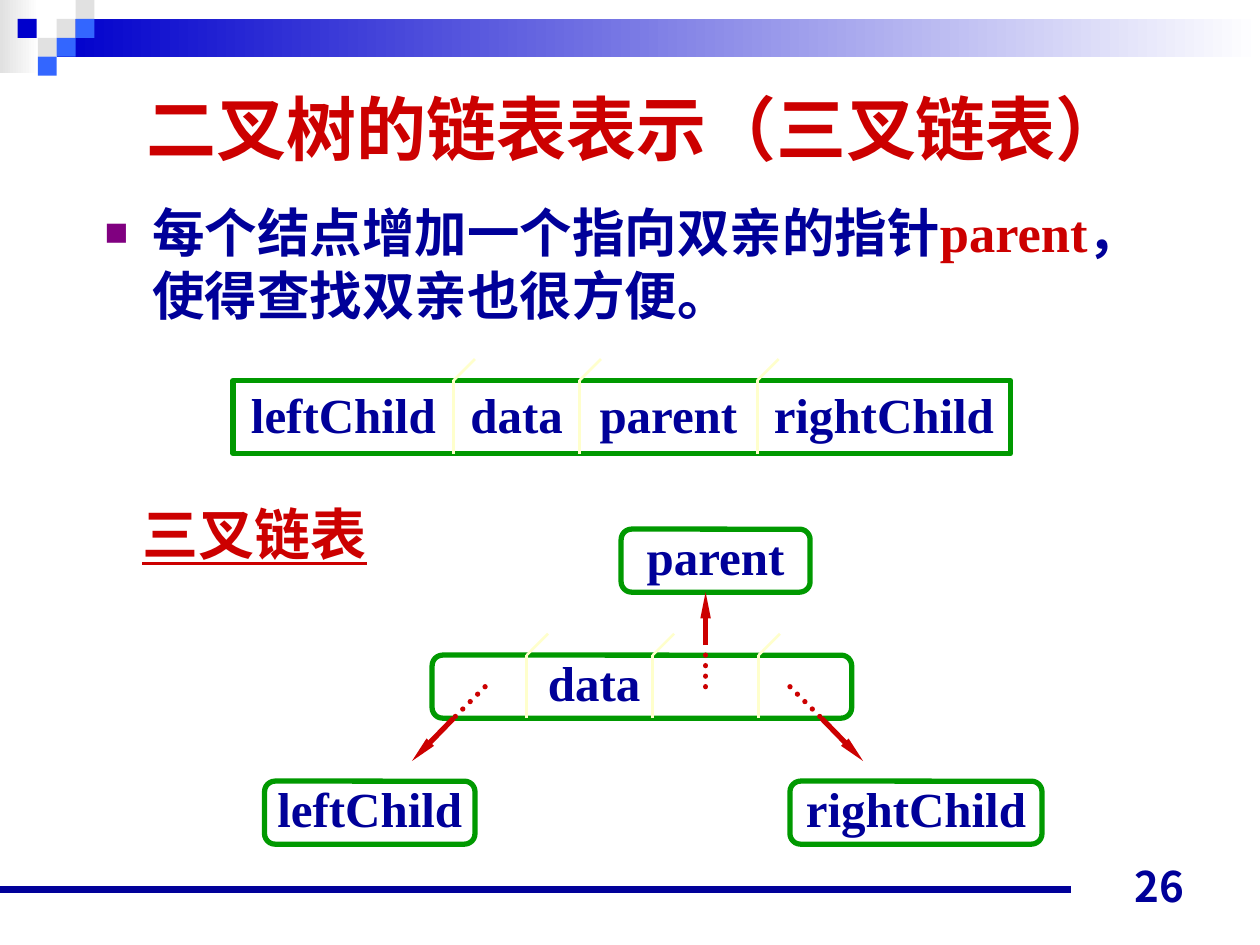
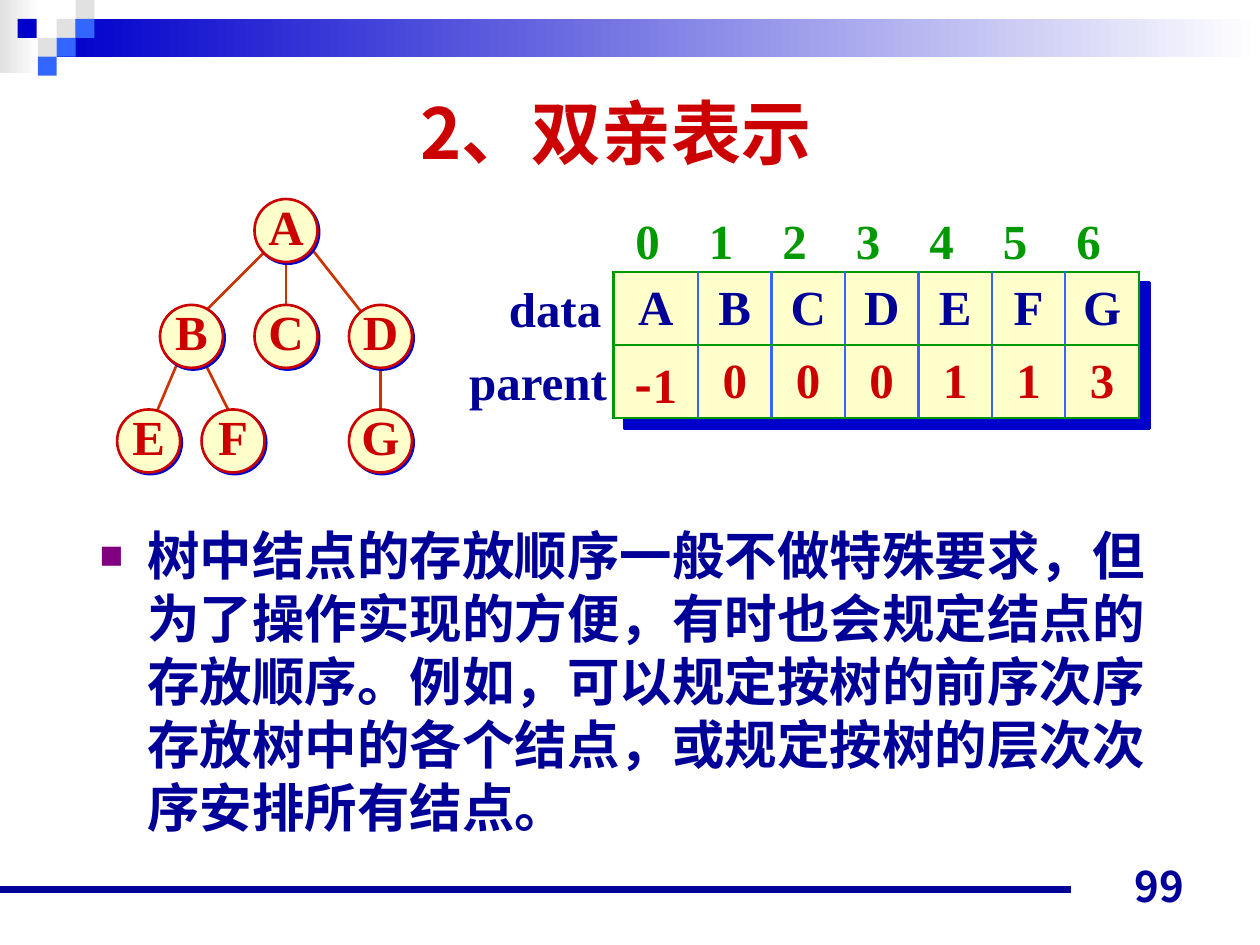
import pptx
import pptx.util
import pptx.dml.color
import pptx.enum.dml
import pptx.enum.shapes
import pptx.enum.text
import pptx.oxml
import pptx.oxml.ns
from lxml import etree

Inches, Pt = pptx.util.Inches, pptx.util.Pt
SHAPE = pptx.enum.shapes.MSO_SHAPE
ALIGN = pptx.enum.text.PP_ALIGN
ANCHOR = pptx.enum.text.MSO_ANCHOR
qn = pptx.oxml.ns.qn

COLORS = {
    "white": "FFFFFF", "grey": "E1E1E1", "blue": "0000CC", "sky": "3366FF",
    "navy": "000099", "red": "CC0000", "green": "009900", "cream": "FFFFCC",
    "rust": "CC3300", "purple": "800080",
}
SERIF, SANS, CJK, CJK_JP = "Times New Roman", "Arial", "Noto Sans CJK SC", "Noto Sans CJK JP"


def rgb(name):
    return pptx.dml.color.RGBColor.from_string(COLORS[name])


def sub(parent, tag, **attrs):
    return etree.SubElement(parent, qn(tag), attrs)


def color_xml(parent, name):
    return sub(parent, "a:srgbClr", val=COLORS[name])


def write(p, runs, align=ALIGN.CENTER, **fmt):
    """Write a string, or a list of (text, format) pairs, into a paragraph."""
    p.alignment = align
    if isinstance(runs, str):
        runs = [(runs, {})]
    for text, own in runs:
        f = {"size": 28, "font": SERIF, "color": "navy", "ea": CJK, "underline": None, **fmt, **own}
        r = p.add_run()
        r.text = text
        r.font.size, r.font.bold, r.font.name = Pt(f["size"]), True, f["font"]
        r.font.underline = f["underline"]
        r.font.color.rgb = rgb(f["color"])
        sub(r._r.get_or_add_rPr(), "a:ea", typeface=f["ea"])


def set_frame(tf, anchor=ANCHOR.MIDDLE, wrap=False, insets=(0, 0, 0, 0)):
    tf.auto_size = pptx.enum.text.MSO_AUTO_SIZE.NONE
    tf.word_wrap, tf.vertical_anchor = wrap, anchor
    tf.margin_left, tf.margin_top, tf.margin_right, tf.margin_bottom = map(Inches, insets)


def place(sp, x, y, w, h):
    sp.left, sp.top, sp.width, sp.height = map(Inches, (x, y, w, h))


class Deck:
    def __init__(self):
        self.prs = pptx.Presentation()
        self.prs.slide_width, self.prs.slide_height = Inches(10), Inches(7.5)
        self.s = None

    def slide(self, number):
        self.s = self.prs.slides.add_slide(self.prs.slide_layouts[1])
        # Header band and checker squares
        self.gradient("grey", 0, 0, 0.31, 0.58)
        self.gradient("blue", 0.45, 0.15, 9.55, 0.3)
        for color, x, y in [("grey", 0.45, 0.15), ("grey", 0.6, 0), ("sky", 0.6, 0.15),
                            ("grey", 0.3, 0.3), ("blue", 0.14, 0.15),
                            ("sky", 0.45, 0.3), ("sky", 0.3, 0.45)]:
            self.shape(SHAPE.RECTANGLE, x, y, 0.15, 0.15, fill=color)
        # Footer rule and page number
        self.line(0, 7.06, 8.5, 7.06, "navy", 4.5)
        self.label(number, 7.17, 6.78, 2.23, 0.45, anchor=ANCHOR.BOTTOM,
                   align=ALIGN.RIGHT, size=24, font=CJK_JP, ea=CJK_JP)

    def title(self, text, x, y, w, h, **fmt):
        sp = self.s.shapes.title
        place(sp, x, y, w, h)
        set_frame(sp.text_frame, wrap=True, insets=(0.1, 0.05, 0.1, 0.05))
        write(sp.text_frame.paragraphs[0], text, size=40, color="red", **fmt)

    def body(self, runs, x, y, w, h):
        sp = self.s.placeholders[1]
        place(sp, x, y, w, h)
        set_frame(sp.text_frame, ANCHOR.TOP, True, (0.1, 0.08, 0.1, 0.05))
        p = sp.text_frame.paragraphs[0]
        pPr = p._p.get_or_add_pPr()
        pPr.set("marL", str(Inches(0.38)))
        pPr.set("indent", str(Inches(-0.38)))
        color_xml(sub(pPr, "a:buClr"), "purple")
        sub(pPr, "a:buSzPct", val="75000")
        sub(pPr, "a:buFont", typeface=SANS)
        sub(pPr, "a:buChar", char="■")
        p.space_before, p.line_spacing = Pt(0), Pt(36)
        write(p, runs, align=ALIGN.LEFT, size=30)

    def label(self, text, x, y, w, h=0.57, anchor=ANCHOR.MIDDLE, **fmt):
        tf = self.s.shapes.add_textbox(*map(Inches, (x, y, w, h))).text_frame
        set_frame(tf, anchor)
        write(tf.paragraphs[0], text, **fmt)

    def shape(self, kind, x, y, w, h, fill="white", line=None, width=1.5, shadow=0, text="", **fmt):
        sp = self.s.shapes.add_shape(kind, *map(Inches, (x, y, w, h)))
        sp.shadow.inherit = False
        sp.fill.solid()
        sp.fill.fore_color.rgb = rgb(fill)
        if line:
            sp.line.color.rgb, sp.line.width = rgb(line), Pt(width)
        else:
            sp.line.fill.background()
        if shadow:
            effects = sp._element.spPr.find(qn("a:effectLst"))
            color_xml(sub(effects, "a:outerShdw", blurRad="0", dist=str(Pt(shadow)),
                          dir="2700000", algn="ctr", rotWithShape="0"), "blue")
        if text:
            set_frame(sp.text_frame, insets=(0, 0, 0, 0.08))
            write(sp.text_frame.paragraphs[0], text, **fmt)
        return sp

    def gradient(self, color, x, y, w, h):
        fill = self.shape(SHAPE.RECTANGLE, x, y, w, h).fill
        fill.gradient()
        fill.gradient_angle = 0
        for stop, name in zip(fill.gradient_stops, (color, "white")):
            stop.color.rgb = rgb(name)

    def line(self, x1, y1, x2, y2, color, width=1.5, arrow=False, dotted=False):
        c = self.s.shapes.add_connector(pptx.enum.shapes.MSO_CONNECTOR.STRAIGHT,
                                        *map(Inches, (x1, y1, x2, y2)))
        c.line.color.rgb, c.line.width = rgb(color), Pt(width)
        if dotted:
            c.line.dash_style = pptx.enum.dml.MSO_LINE.ROUND_DOT
            c.line._ln.set("cap", "rnd")
        if arrow:
            sub(c.line._ln, "a:tailEnd", type="triangle", w="sm", len="lg")
        sub(c._element.spPr, "a:effectLst")

    def divider(self, x, top, bottom):
        self.line(x, bottom, x, top, "cream")
        self.line(x, top, x + 0.17, top - 0.17, "cream")

    def node_box(self, text, x, y, w):
        self.shape(SHAPE.ROUNDED_RECTANGLE, x, y, w, 0.5, line="green", width=3, text=text)

    def table(self, rows, colors, x, y, widths, row_height):
        last = len(widths) - 1
        size = (sum(widths), row_height * len(rows))
        self.shape(SHAPE.RECTANGLE, x, y, *size, fill="cream", line="green", shadow=8.5)
        tbl = self.s.shapes.add_table(len(rows), len(widths), *map(Inches, (x, y, *size))).table
        tbl.first_row = tbl.horz_banding = False
        for col, w in zip(tbl.columns, widths):
            col.width = Inches(w)
        for i, row in enumerate(rows):
            tbl.rows[i].height = Inches(row_height)
            for j, text in enumerate(row):
                cell = tbl.cell(i, j)
                cell.margin_left = cell.margin_right = cell.margin_top = cell.margin_bottom = 0
                cell.vertical_anchor = ANCHOR.MIDDLE
                tcPr = cell._tc.get_or_add_tcPr()
                sides = {"L": "sky" if j else "green", "R": "sky" if j < last else "green",
                         "T": "green", "B": "green"}
                for side, color in sides.items():
                    ln = sub(tcPr, "a:ln" + side, w=str(Pt(1.5)))
                    color_xml(sub(ln, "a:solidFill"), color)
                cell.fill.solid()
                cell.fill.fore_color.rgb = rgb("cream")
                write(cell.text_frame.paragraphs[0], text, color=colors[i])


def triple_linked_list(deck):
    deck.slide("26")
    deck.title("二叉树的链表表示（三叉链表）", 0.55, 0.48, 9, 1.06, font=SANS)
    deck.body([("每个结点增加一个指向双亲的指针", {}), ("parent", {"color": "red"}),
               ("，使得查找双亲也很方便。", {})], 0.73, 1.51, 8.72, 1.14)

    # Node record with four fields
    fields = ["leftChild", "data", "parent", "rightChild"]
    edges = [1.85, 3.6, 4.6, 6.01, 8.02]
    deck.shape(SHAPE.RECTANGLE, 1.85, 3.02, 6.17, 0.58, line="green", width=3)
    for x in edges[1:-1]:
        deck.divider(x, 3.02, 3.6)
    for name, left, right in zip(fields, edges, edges[1:]):
        deck.label(name, left, 3, right - left)

    # Node and its three neighbours
    deck.label("三叉链表", 1.03, 3.91, 1.98, 0.64, size=32, color="red", underline=True)
    deck.node_box("parent", 4.93, 4.2, 1.5)
    deck.node_box("", 3.43, 5.2, 3.33)
    deck.node_box("rightChild", 6.27, 6.2, 2)
    deck.node_box("leftChild", 2.1, 6.2, 1.67)
    for x in (4.18, 5.18, 6.02):
        deck.divider(x, 5.2, 5.7)
    deck.label("data", 4.25, 5.13, 0.93)

    # Pointers: dotted inside the node, solid outside
    for start, border, end in [((5.6, 5.45), (5.6, 5.12), (5.6, 4.7)),
                               ((3.85, 5.45), (3.6, 5.7), (3.27, 6.04)),
                               ((6.27, 5.45), (6.52, 5.7), (6.85, 6.04))]:
        deck.line(*border, *end, "red", 3, arrow=True)
        deck.line(*start, *border, "red", 3, dotted=True)


def parent_representation(deck):
    deck.slide("99")
    deck.title("2、双亲表示", 0.39, 0.54, 9, 1.01, font=CJK_JP, ea=CJK_JP)
    deck.body("树中结点的存放顺序一般不做特殊要求，但为了操作实现的方便，有时也会规定结点的存放顺序。"
              "例如，可以规定按树的前序次序存放树中的各个结点，或规定按树的层次次序安排所有结点。",
              0.69, 4.07, 8.68, 2.71)

    # Tree
    for branch in [(3.02, 2.83, 3.02, 3.42), (2.43, 1.92, 3.02, 2.67), (1.6, 2.83, 1.85, 3.33),
                   (1.43, 2.83, 1.18, 3.42), (2.1, 2, 1.6, 2.5), (2.27, 2, 2.27, 2.5)]:
        deck.line(*branch, "rust")
    levels = [(1.58, {"A": 2.02}), (2.42, {"B": 1.27, "C": 2.02, "D": 2.77}),
              (3.25, {"E": 0.93, "F": 1.6, "G": 2.77})]
    for y, nodes in levels:
        for name, x in nodes.items():
            deck.shape(SHAPE.OVAL, x, y, 0.5, 0.5, fill="cream", line="red",
                       shadow=1.4, text=name, color="red")

    # Parent array
    step = 3.5 / 6
    parents = [[("-", {"font": CJK}), ("1", {})], *"000113"]
    deck.table(["ABCDEFG", parents], ["navy", "red"], 4.87, 2.16, [0.67] + [step] * 6, 0.58)
    for i in range(7):
        deck.label(str(i), 4.89 + i * step, 1.62, 0.5, color="green")
    deck.label("data", 3.94, 2.16, 0.93)
    deck.label("parent", 3.62, 2.74, 1.3)


def main():
    deck = Deck()
    triple_linked_list(deck)
    parent_representation(deck)
    deck.prs.save("out.pptx")


if __name__ == "__main__":
    main()
